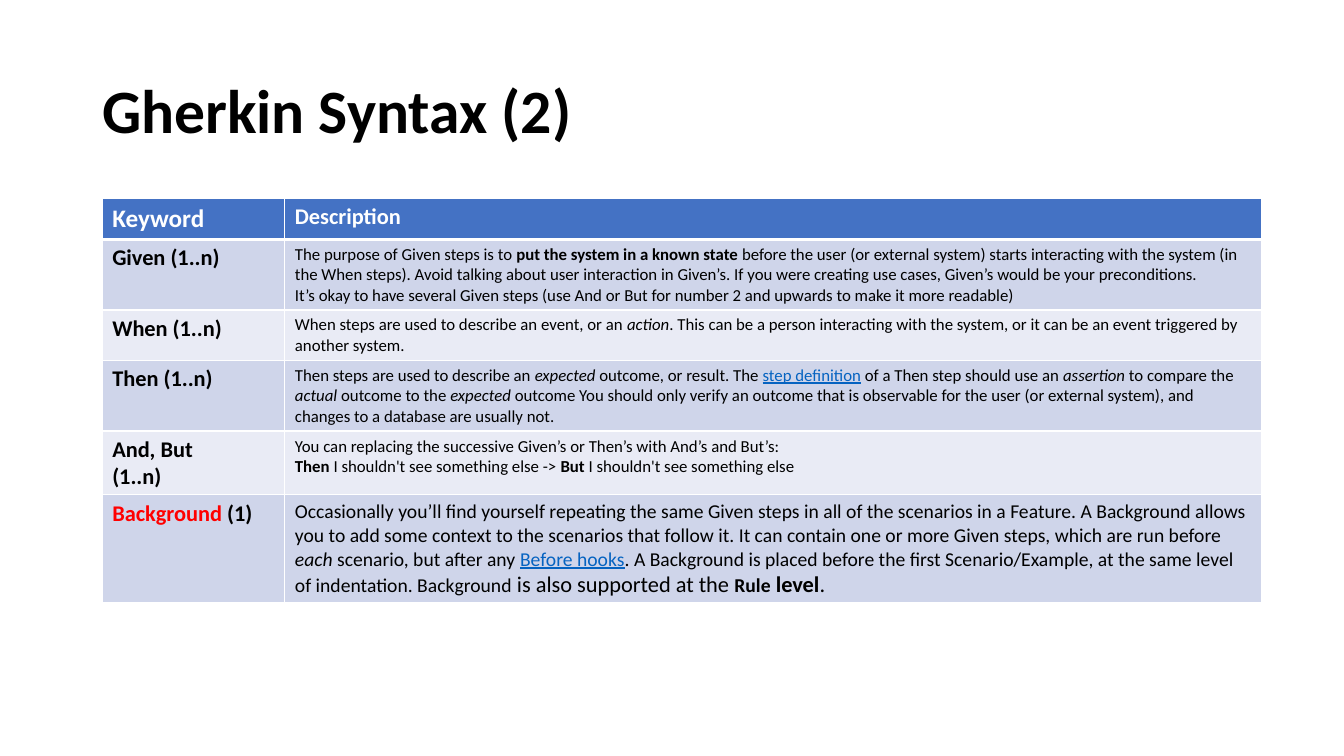
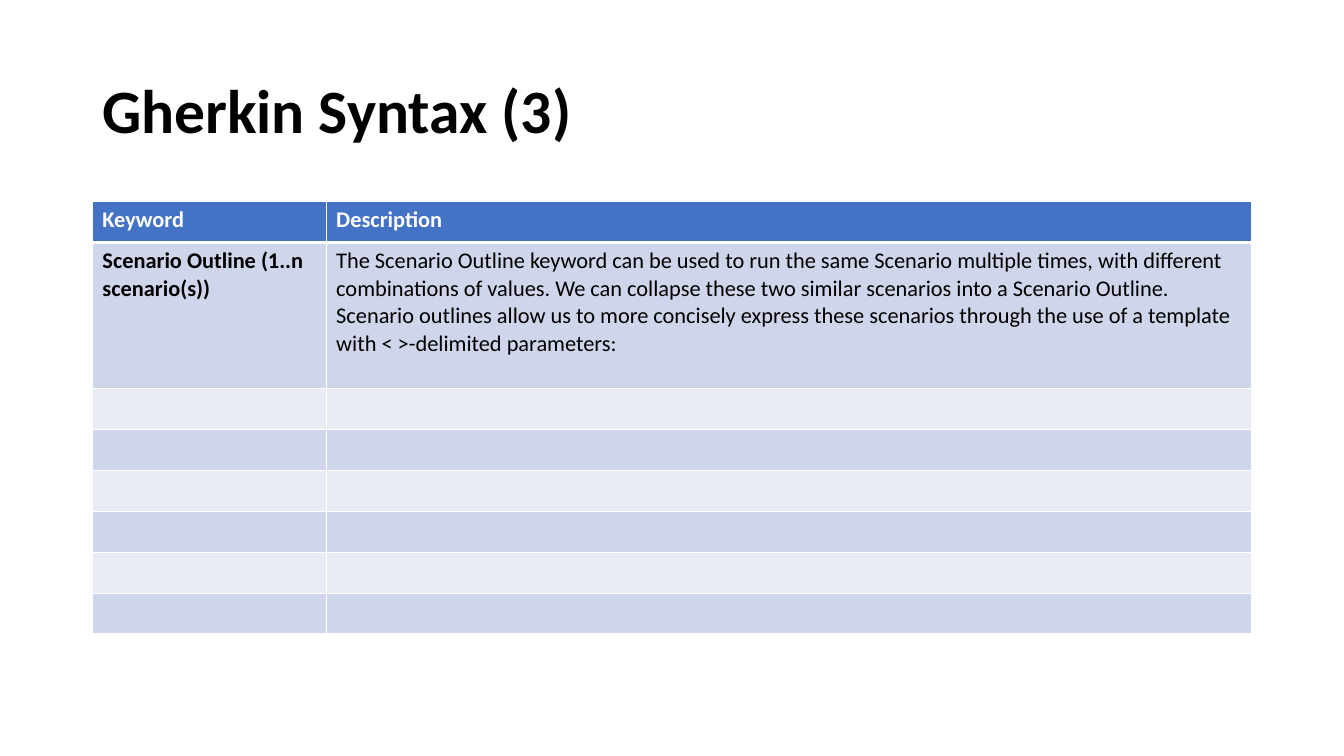
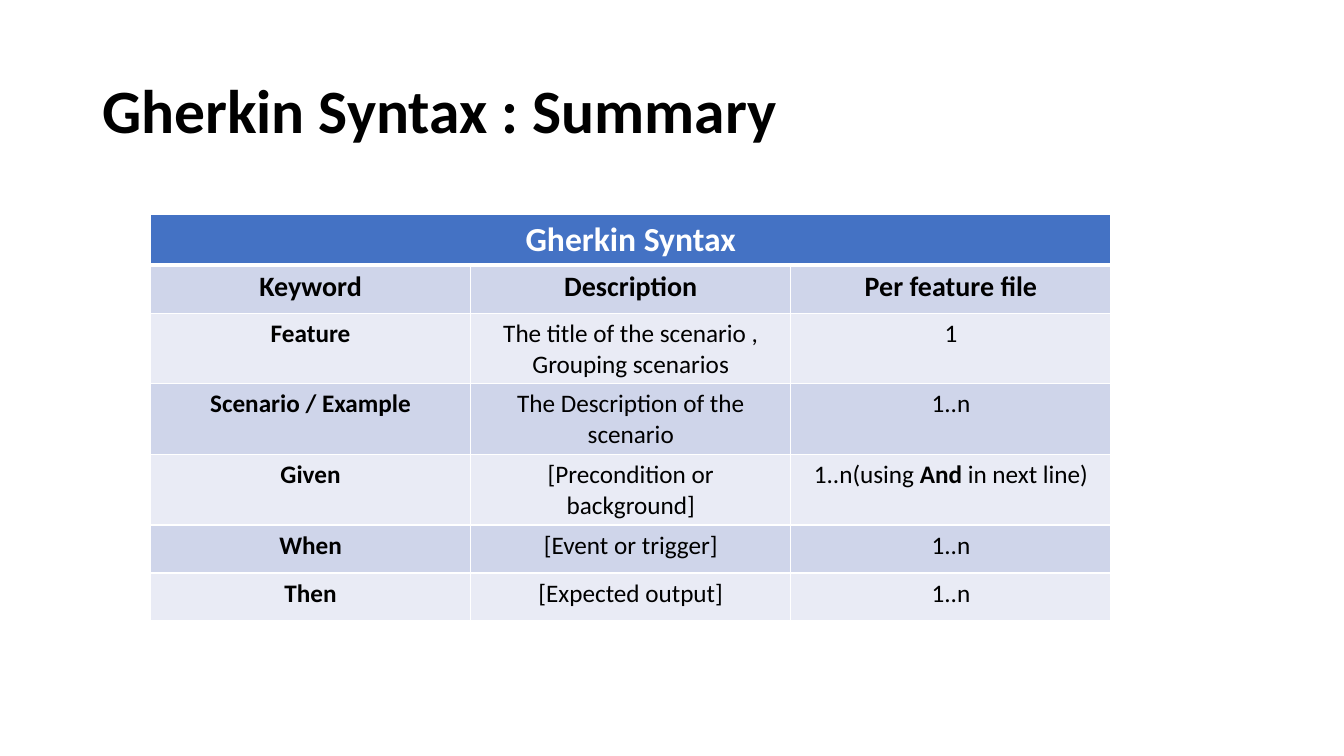
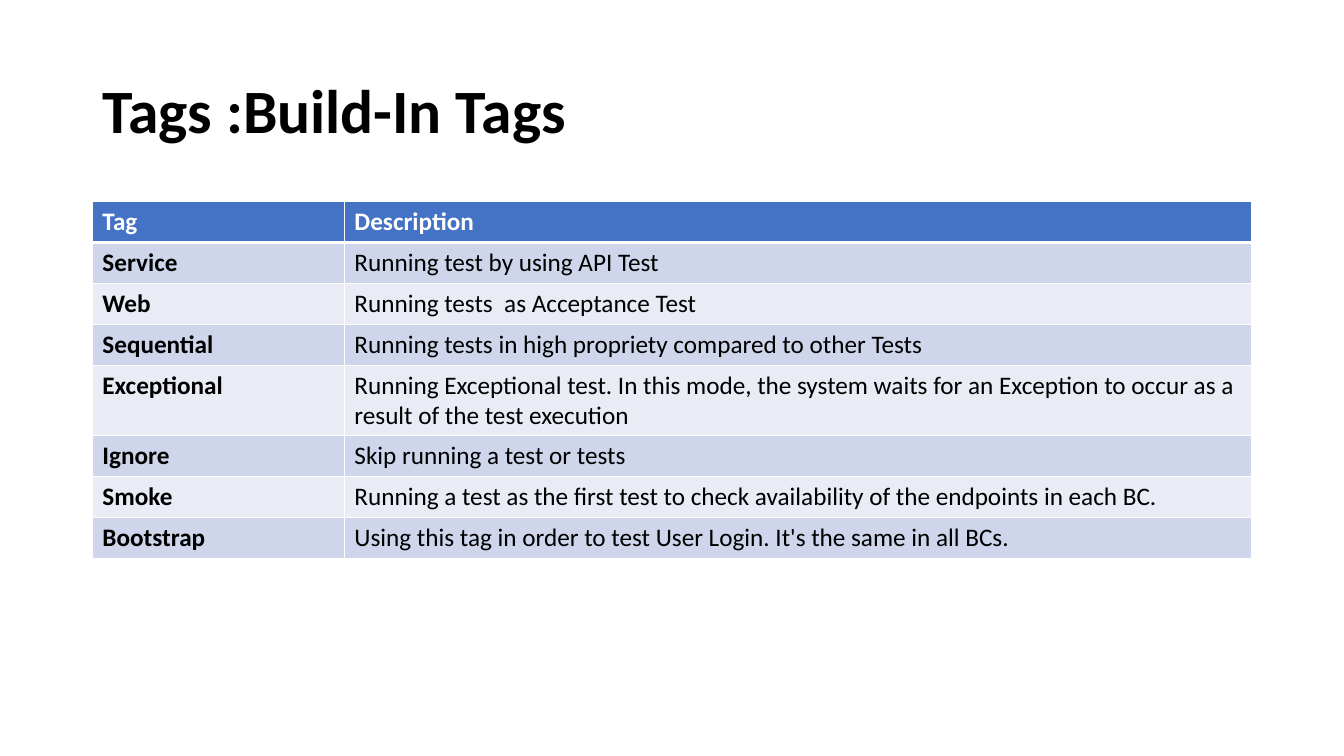
from dataclasses import dataclass

from pptx import Presentation
from pptx.dml.color import RGBColor as Rgb
from pptx.enum.text import MSO_ANCHOR as Anchor, PP_ALIGN as Align
from pptx.oxml import parse_xml
from pptx.oxml.ns import nsdecls
from pptx.util import Pt


@dataclass(frozen=True)
class Theme:
    font: str = "Calibri"
    ink: str = "000000"
    white: str = "FFFFFF"
    header: str = "4472C4"
    bands: tuple = ("CFD5EA", "E9EBF5")
    link: str = "0563C1"
    alert: str = "FF0000"
    title: int = 44
    banner: int = 24
    subhead: int = 20
    large: int = 18
    body: int = 16
    small: int = 14
    tiny: int = 12
    thin: int = 1
    thick: int = 3


THEME = Theme()
PAGE = (960, 540)
TITLE_BOX = (66, 28.8, 828, 104.4)
ROW_HEIGHT = 29.2

# Span formats
BOLD = {"bold": True}
ITALIC = {"italic": True}
LINK = {"color": THEME.link, "underline": True}
ALERT = {"color": THEME.alert}


# Text
def add_span(para, text, formats):
    span = para.add_run()
    span.text = text
    values = {"name": THEME.font, "color": THEME.ink, **formats}
    span.font.color.rgb = Rgb.from_string(values.pop("color"))
    values["size"] = Pt(values["size"])
    for name, value in values.items():
        setattr(span.font, name, value)


def write(frame, content, formats, align=Align.LEFT, line_spacing=None):
    """Content is a string or a list of paragraphs, each a string or a list of spans."""
    paras = [content] if isinstance(content, str) else content
    for index, spans in enumerate(paras):
        para = frame.add_paragraph() if index else frame.paragraphs[0]
        para.alignment = align
        para.line_spacing = line_spacing
        for span in [spans] if isinstance(spans, str) else spans:
            text, extra = (span, {}) if isinstance(span, str) else span
            if text:
                add_span(para, text, {**formats, **extra})


def add_title(page, box, text):
    frame = page.shapes.add_textbox(*map(Pt, box)).text_frame
    frame.word_wrap = True
    frame.vertical_anchor = Anchor.MIDDLE
    write(frame, text, {"size": THEME.title, "bold": True}, line_spacing=0.9)


# Tables
def set_borders(cell, row):
    widths = {
        "lnL": THEME.thin,
        "lnR": THEME.thin,
        "lnT": THEME.thick if row == 1 else THEME.thin,
        "lnB": THEME.thick if row == 0 else THEME.thin,
    }
    properties = cell._tc.get_or_add_tcPr()
    for side, width in widths.items():
        properties.append(parse_xml(
            f'<a:{side} {nsdecls("a")} w="{Pt(width)}"><a:solidFill>'
            f'<a:srgbClr val="{THEME.white}"/></a:solidFill></a:{side}>'))


def add_grid(page, left, top, columns, rows, sizes, heights,
             align=Align.LEFT, bold_rows=1):
    """A row with one cell spans all columns; the first column is bold."""
    box = (left, top, sum(columns), sum(heights))
    table = page.shapes.add_table(len(rows), len(columns), *map(Pt, box)).table
    for column, width in zip(table.columns, columns):
        column.width = Pt(width)
    for r, (cells, height) in enumerate(zip(rows, heights)):
        table.rows[r].height = Pt(height)
        if len(cells) == 1:
            table.cell(r, 0).merge(table.cell(r, len(columns) - 1))
        for c in range(len(columns)):
            cell = table.cell(r, c)
            set_borders(cell, r)
            cell.fill.solid()
            fill = THEME.bands[(r - 1) % 2] if r else THEME.header
            cell.fill.fore_color.rgb = Rgb.from_string(fill)
            if c < len(cells):
                formats = {
                    "size": sizes[r][c],
                    "bold": r < bold_rows or c == 0,
                    "color": THEME.ink if r else THEME.white,
                }
                write(cell.text_frame, cells[c], formats, align)


# Slide contents
STEP_ROWS = [
    ("Keyword", "Description"),
    ("Given (1..n)", [
        ["The purpose of Given steps is to ",
         ("put the system in a known state", BOLD),
         " before the user (or external system) starts interacting with the "
         "system (in the When steps). Avoid talking about user interaction in "
         "Given’s. If you were creating use cases, Given’s would be your "
         "preconditions."],
        "It’s okay to have several Given steps (use And or But for number 2 "
        "and upwards to make it more readable)"]),
    ("When (1..n)", [
        ["When steps are used to describe an event, or an ", ("action", ITALIC),
         ". This can be a person interacting with the system, or it can be an "
         "event triggered by another system."]]),
    ("Then (1..n)", [
        ["Then steps are used to describe an ", ("expected", ITALIC),
         " outcome, or result. The ", ("step definition", LINK),
         " of a Then step should use an ", ("assertion", ITALIC),
         " to compare the ", ("actual", ITALIC), " outcome to the ",
         ("expected", ITALIC),
         " outcome You should only verify an outcome that is observable for "
         "the user (or external system), and changes to a database are "
         "usually not."]]),
    (["And, But", "(1..n)"], [
        "You can replacing the successive Given’s or Then’s with And’s and But’s:",
        [("Then", BOLD), " I shouldn't see something else -> ", ("But", BOLD),
         " I shouldn't see something else"]]),
    ([[("Background", ALERT), " (1)"]], [
        ["Occasionally you’ll find yourself repeating the same Given steps in "
         "all of the scenarios in a Feature. A Background allows you to add "
         "some context to the scenarios that follow it. It can contain one or "
         "more Given steps, which are run before ", ("each", ITALIC),
         " scenario, but after any ", ("Before hooks", LINK),
         ". A Background is placed before the first Scenario/Example, at the "
         "same level of indentation. Background",
         (" is also supported at the ", {"size": THEME.body}),
         ("Rule", BOLD),
         (" level", {"size": THEME.body, "bold": True}),
         (".", {"size": THEME.body})]]),
]

OUTLINE_ROWS = [
    ("Keyword", "Description"),
    ("Scenario Outline (1..n scenario(s))", [
        "The Scenario Outline keyword can be used to run the same Scenario "
        "multiple times, with different combinations of values. We can "
        "collapse these two similar scenarios into a Scenario Outline.",
        "Scenario outlines allow us to more concisely express these scenarios "
        "through the use of a template with < >-delimited parameters:"]),
] + [("", "")] * 6

SUMMARY_ROWS = [
    ("Gherkin Syntax",),
    ("Keyword", "Description", "Per feature file"),
    ("Feature", "The title of the scenario , Grouping scenarios", "1"),
    ("Scenario / Example", "The Description of the scenario", "1..n"),
    ("Given", "[Precondition or background]",
     [["1..n(using ", ("And", BOLD), " in next line)"]]),
    ("When", "[Event or trigger]", "1..n"),
    ("Then", "[Expected output]", "1..n"),
]

TAG_ROWS = [
    ("Tag", "Description"),
    ("Service", "Running test by using API Test"),
    ("Web", "Running tests  as Acceptance Test"),
    ("Sequential", "Running tests in high propriety compared to other Tests"),
    ("Exceptional", "Running Exceptional test. In this mode, the system waits "
                    "for an Exception to occur as a result of the test execution"),
    ("Ignore", "Skip running a test or tests"),
    ("Smoke", "Running a test as the first test to check availability of the "
              "endpoints in each BC."),
    ("Bootstrap", "Using this tag in order to test User Login. It's the same "
                  "in all BCs."),
]

SLIDES = [
    ("Gherkin Syntax (2)", dict(
        left=73, top=141.8, columns=(130.5, 697.5), rows=STEP_ROWS,
        sizes=[(THEME.large, THEME.body)] + [(THEME.body, THEME.tiny)] * 4
        + [(THEME.body, THEME.small)],
        heights=[ROW_HEIGHT] * 6)),
    ("Gherkin Syntax (3)", dict(
        left=66, top=144, columns=(167, 661), rows=OUTLINE_ROWS,
        sizes=[(THEME.body,) * 2] * 8,
        heights=[ROW_HEIGHT, 104.5] + [ROW_HEIGHT] * 6)),
    ("Gherkin Syntax : Summary", dict(
        left=107.5, top=153.4, columns=(228.7,) * 3, rows=SUMMARY_ROWS,
        sizes=[(THEME.banner,), (THEME.subhead,) * 3] + [(THEME.large,) * 3] * 5,
        heights=[34.3] * 7, align=Align.CENTER, bold_rows=2)),
    ("Tags :Build-In Tags", dict(
        left=66, top=144, columns=(180, 648), rows=TAG_ROWS,
        sizes=[(THEME.large,) * 2] * 8, heights=[ROW_HEIGHT] * 8)),
]


def main():
    deck = Presentation()
    deck.slide_width, deck.slide_height = map(Pt, PAGE)
    for title, grid in SLIDES:
        page = deck.slides.add_slide(deck.slide_layouts[6])
        add_title(page, TITLE_BOX, title)
        add_grid(page, **grid)
    deck.save("out.pptx")


if __name__ == "__main__":
    main()
